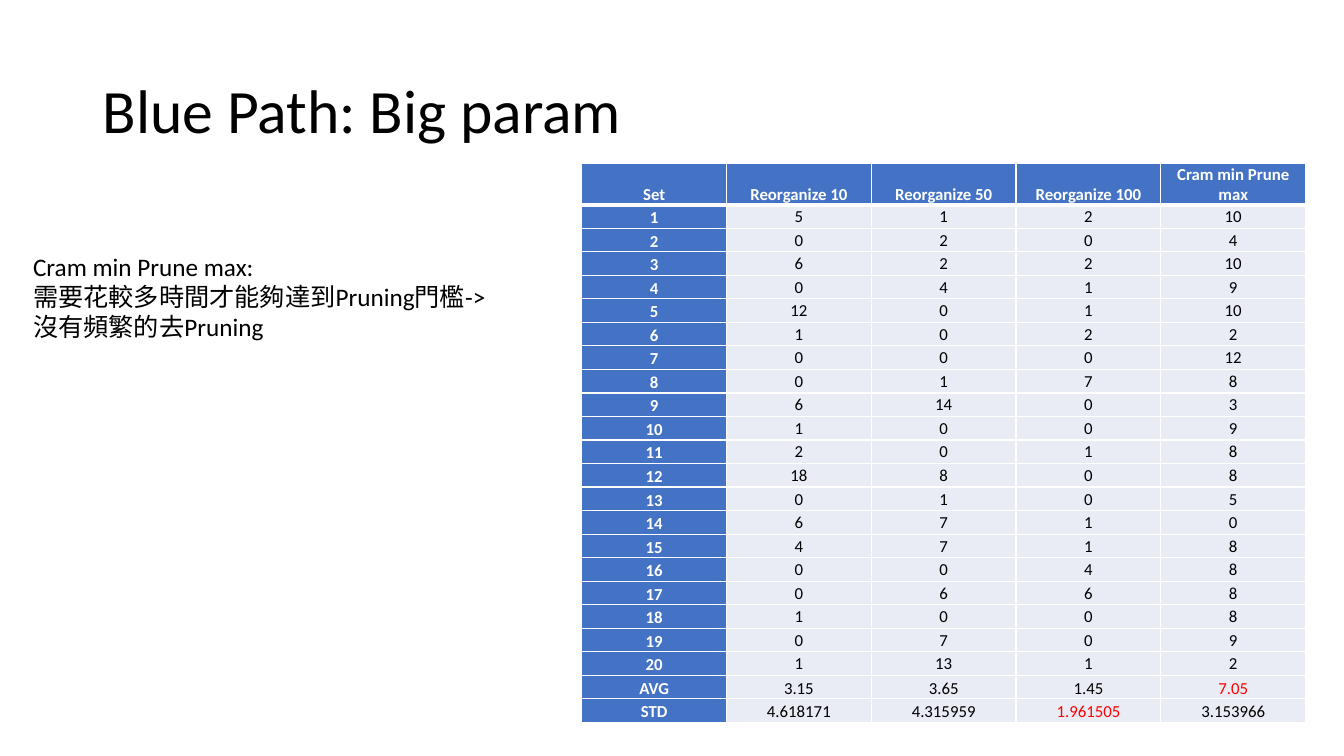
"""Builds the "Blue Path: Big param" slide: a results table with a short remark."""
from dataclasses import dataclass

from lxml import etree
from pptx import Presentation, util as u
from pptx.dml.color import RGBColor
from pptx.enum import text
from pptx.oxml.ns import qn

TITLE = "Blue Path: Big param"
REMARK = [
    "Cram min Prune max:",
    "需要花較多時間才能夠達到Pruning門檻->",
    "沒有頻繁的去Pruning",
]
HEADINGS = ("Set", "Reorganize 10", "Reorganize 50", "Reorganize 100", "Cram min Prune max")
RESULTS = [
    (5, 1, 2, 10), (0, 2, 0, 4), (6, 2, 2, 10), (0, 4, 1, 9), (12, 0, 1, 10),
    (1, 0, 2, 2), (0, 0, 0, 12), (0, 1, 7, 8), (6, 14, 0, 3), (1, 0, 0, 9),
    (2, 0, 1, 8), (18, 8, 0, 8), (0, 1, 0, 5), (6, 7, 1, 0), (4, 7, 1, 8),
    (0, 0, 4, 8), (0, 6, 6, 8), (1, 0, 0, 8), (0, 7, 0, 9), (1, 13, 1, 2),
]
SUMMARY = [
    ("AVG", "3.15", "3.65", "1.45", "7.05"),
    ("STD", "4.618171", "4.315959", "1.961505", "3.153966"),
]
HIGHLIGHTS = {("AVG", 4), ("STD", 3)}


@dataclass(frozen=True)
class Theme:
    font: str = "Calibri"
    ink: str = "000000"
    white: str = "FFFFFF"
    accent: str = "4472C4"
    band: str = "E9EBF5"
    alert: str = "FF0000"
    title_size: int = 44
    remark_size: int = 18
    table_size: int = 12
    thin: int = 1
    thick: int = 3


THEME = Theme()
SLIDE_W, SLIDE_H = u.Inches(13.33), u.Inches(7.5)
TITLE_BOX = (0.92, 0.4, 11.5, 1.45)
REMARK_BOX = (0.23, 2.44, 4.93, 1.01)
TABLE_BOX = (5.77, 1.62, 7.18, 5.55)
HEADING_H = 0.41


def inches(box):
    return [u.Inches(length) for length in box]


def write(frame, lines, *, size, color=THEME.ink, bold=False, align=None, spacing=None):
    for index, line in enumerate(lines):
        paragraph = frame.paragraphs[0] if index == 0 else frame.add_paragraph()
        paragraph.alignment = align
        paragraph.line_spacing = spacing
        run = paragraph.add_run()
        run.text = line
        run.font.name = THEME.font
        run.font.size = u.Pt(size)
        run.font.bold = bold
        run.font.color.rgb = RGBColor.from_string(color)


def add_text(slide, box, lines, anchor, **style):
    frame = slide.shapes.add_textbox(*inches(box)).text_frame
    frame.word_wrap = True
    frame.vertical_anchor = anchor
    write(frame, lines, **style)


def add_borders(cell, top, bottom):
    properties = cell._tc.get_or_add_tcPr()
    for side, width in (("L", THEME.thin), ("R", THEME.thin), ("T", top), ("B", bottom)):
        border = etree.SubElement(properties, qn(f"a:ln{side}"), w=str(u.Pt(width)))
        fill = etree.SubElement(border, qn("a:solidFill"))
        etree.SubElement(fill, qn("a:srgbClr"), val=THEME.white)


def format_cell(cell, value, row, column, row_name, centred):
    label = row == 0 or column == 0
    add_borders(cell, THEME.thick if row == 1 else THEME.thin,
                THEME.thick if row == 0 else THEME.thin)
    cell.fill.solid()
    cell.fill.fore_color.rgb = RGBColor.from_string(THEME.accent if label else THEME.band)
    cell.margin_left = cell.margin_right = cell.margin_top = u.Inches(0.01)
    cell.margin_bottom = 0
    cell.vertical_anchor = text.MSO_ANCHOR.MIDDLE if centred else text.MSO_ANCHOR.BOTTOM
    color = THEME.white if label else THEME.ink
    if (row_name, column) in HIGHLIGHTS:
        color = THEME.alert
    write(cell.text_frame, [str(value)], size=THEME.table_size, color=color,
          bold=label, align=text.PP_ALIGN.CENTER)


def add_results(slide):
    sets = [(number, *counts) for number, counts in enumerate(RESULTS, 1)]
    rows = [HEADINGS, *sets, *SUMMARY]
    table = slide.shapes.add_table(len(rows), len(HEADINGS), *inches(TABLE_BOX)).table
    width, height = TABLE_BOX[2:]
    for column in table.columns:
        column.width = u.Inches(width / len(HEADINGS))
    for index, row in enumerate(table.rows):
        row.height = u.Inches((height - HEADING_H) / (len(rows) - 1) if index else HEADING_H)
    for r, values in enumerate(rows):
        for c, value in enumerate(values):
            centred = c > 0 and 1 <= r <= len(sets)
            format_cell(table.cell(r, c), value, r, c, values[0], centred)


def main():
    deck = Presentation()
    deck.slide_width, deck.slide_height = SLIDE_W, SLIDE_H
    slide = deck.slides.add_slide(deck.slide_layouts[6])
    add_text(slide, TITLE_BOX, [TITLE], text.MSO_ANCHOR.MIDDLE,
             size=THEME.title_size, spacing=0.9)
    add_results(slide)
    add_text(slide, REMARK_BOX, REMARK, text.MSO_ANCHOR.TOP, size=THEME.remark_size)
    deck.save("out.pptx")


if __name__ == "__main__":
    main()
